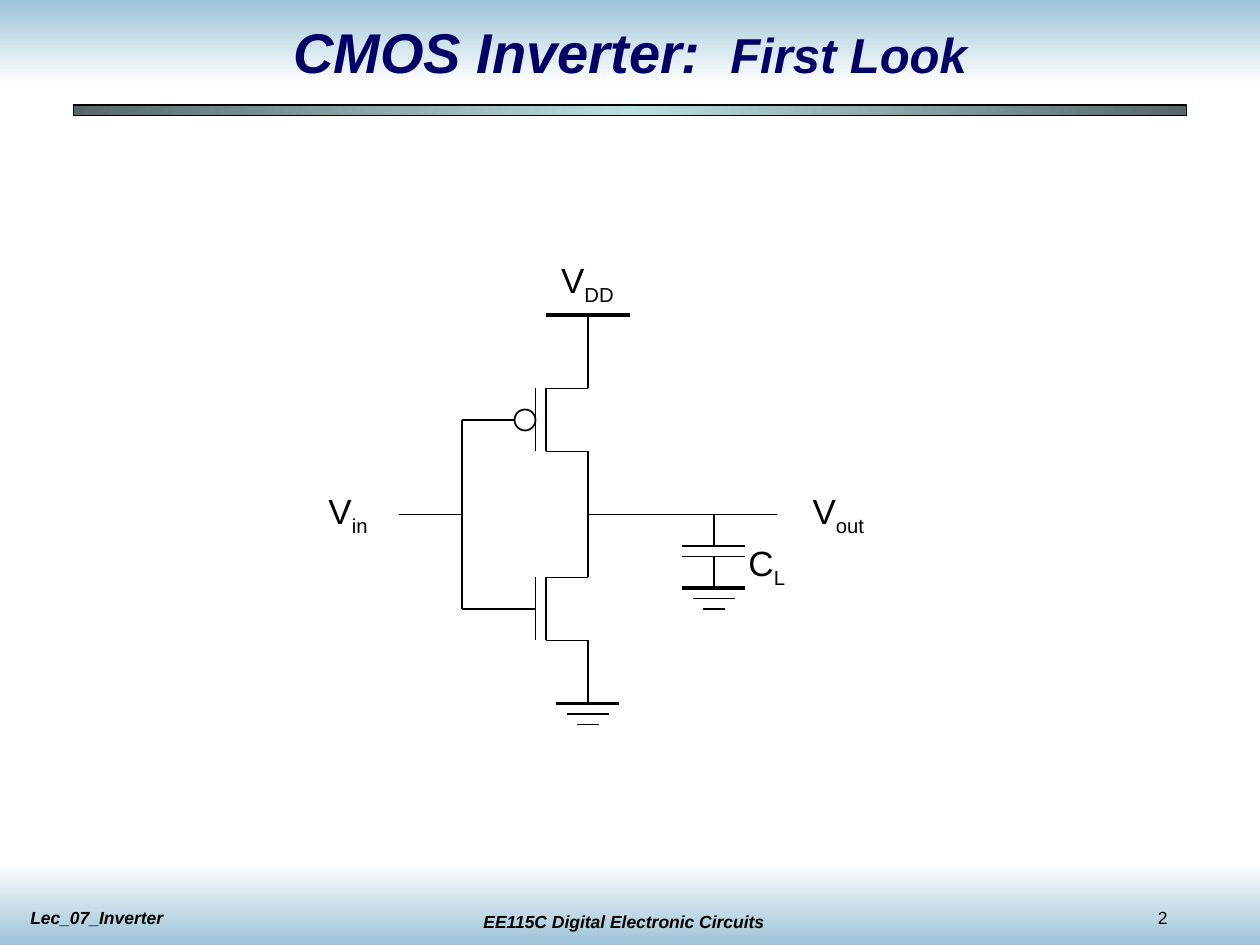
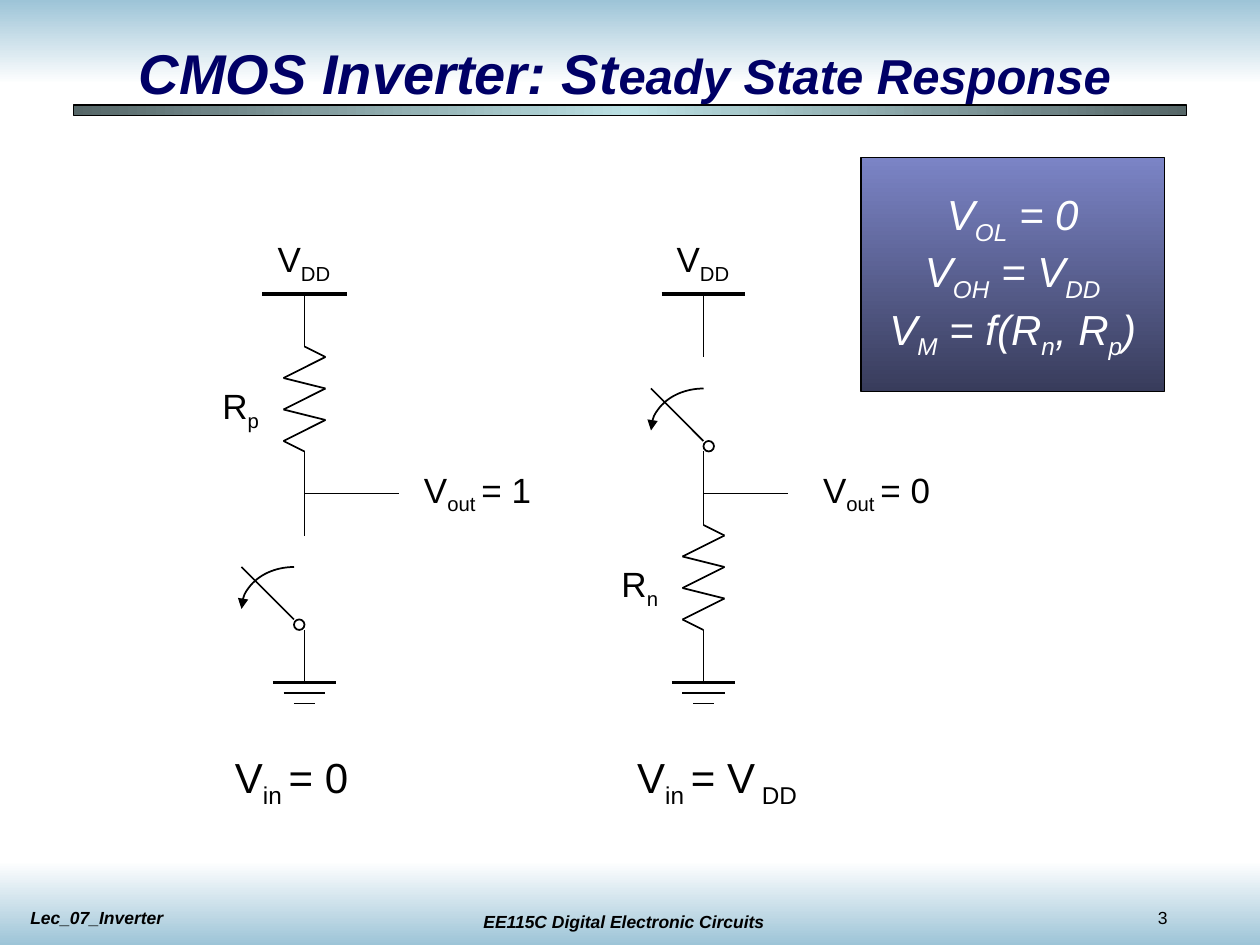
import copy

import lxml.etree
import pptx
import pptx.dml.color
import pptx.enum.shapes
import pptx.enum.text
import pptx.oxml.ns
import pptx.util

COLORS = {
    "ink": "000000",
    "title": "000066",
    "white": "FFFFFF",
    "band": "9DC4D7",
    "bar_edge": "566768",
    "bar_middle": "BBE0E3",
    "box_top": "7B84C6",
    "box_bottom": "383C5B",
}
COLS, ROWS = 120, 90
DOWN, ACROSS = 270, 0
THIN, THICK = 1, 2.25
SHAPES = pptx.enum.shapes.MSO_SHAPE
ALIGN = pptx.enum.text.PP_ALIGN
ANCHOR = pptx.enum.text.MSO_ANCHOR
AUTO_SIZE = pptx.enum.text.MSO_AUTO_SIZE
qn = pptx.oxml.ns.qn


def rgb(name):
    return pptx.dml.color.RGBColor.from_string(COLORS[name])


class Deck:
    font = "Arial"

    def __init__(self):
        self.prs = pptx.Presentation()
        self.prs.slide_width = pptx.util.Inches(10)
        self.prs.slide_height = pptx.util.Inches(7.5)
        self.s = None

    def x(self, cols):
        return round(self.prs.slide_width * cols / COLS)

    def y(self, rows):
        return round(self.prs.slide_height * rows / ROWS)

    def place(self, left, top, width, height):
        return self.x(left), self.y(top), self.x(width), self.y(height)

    def style(self, p, size=None, color="ink", bold=False, italic=False):
        p.font.name = self.font
        p.font.bold = bold
        p.font.italic = italic
        p.font.color.rgb = rgb(color)
        if size:
            p.font.size = pptx.util.Pt(size)

    def slide(self, number, title_box, large, small):
        self.s = self.prs.slides.add_slide(self.prs.slide_layouts[5])
        self.gradient(0, 0, COLS, 8, ["band", "white"])
        self.gradient(0, 82, COLS, 8, ["white", "band"])
        self.footer(42.4, 86.2, 34, "EE115C Digital Electronic Circuits", ALIGN.CENTER)
        self.footer(109.1, 85.8, 10, str(number), emphasis=False)
        self.footer(1.7, 85.8, 34, "Lec_07_Inverter")
        self.gradient(7, 10, 106, 1, ["bar_edge", "bar_middle", "bar_edge"], ACROSS, 0.75)
        self.title(title_box, large, small)

    def title(self, box, large, small):
        sp = self.s.shapes.title
        self.s.shapes._spTree.append(sp._element)
        sp.left, sp.top, sp.width, sp.height = self.place(*box)
        tf = sp.text_frame
        tf.auto_size = AUTO_SIZE.NONE
        tf.vertical_anchor = ANCHOR.MIDDLE
        p = tf.paragraphs[0]
        p.alignment = ALIGN.CENTER
        self.style(p, color="title", bold=True, italic=True)
        for text, size in ((large, 32), (small, 28)):
            r = p.add_run()
            r.text = text
            r.font.size = pptx.util.Pt(size)

    def footer(self, left, top, width, text, align=ALIGN.LEFT, emphasis=True):
        sp = self.s.shapes.add_textbox(*self.place(left, top, width, 3.2))
        sp.text_frame.word_wrap = True
        p = sp.text_frame.paragraphs[0]
        p.text = text
        p.alignment = align
        self.style(p, 10, bold=emphasis, italic=emphasis)

    def shape(self, kind, left, top, width, height, line=THIN):
        sp = self.s.shapes.add_shape(kind, *self.place(left, top, width, height))
        sp.shadow.inherit = False
        sp.fill.background()
        if line:
            sp.line.color.rgb = rgb("ink")
            sp.line.width = pptx.util.Pt(line)
        else:
            sp.line.fill.background()
        return sp

    def gradient(self, left, top, width, height, names, angle=DOWN, line=None):
        sp = self.shape(SHAPES.RECTANGLE, left, top, width, height, line)
        sp.fill.gradient()
        sp.fill.gradient_angle = angle
        stops = next(sp._element.iter(qn("a:gsLst")))
        while len(stops) < len(names):
            stops.append(copy.deepcopy(stops[0]))
        for i, (stop, name) in enumerate(zip(sp.fill.gradient_stops, names)):
            stop.color.rgb = rgb(name)
            stop.position = i / (len(names) - 1)
        return sp

    def line(self, x1, y1, x2, y2, width=THIN):
        c = self.s.shapes.add_connector(
            pptx.enum.shapes.MSO_CONNECTOR.STRAIGHT,
            self.x(x1), self.y(y1), self.x(x2), self.y(y2))
        c.line.color.rgb = rgb("ink")
        c.line.width = pptx.util.Pt(width)
        lxml.etree.SubElement(c._element.spPr, qn("a:effectLst"))

    def wire(self, *points, width=THIN):
        for start, end in zip(points, points[1:]):
            self.line(*start, *end, width)

    def subscripted(self, p, parts):
        for i, text in enumerate(parts):
            r = p.add_run()
            r.text = text
            if i % 2:
                r._r.get_or_add_rPr().set("baseline", "-25000")

    def label(self, left, top, width, *parts, size=20):
        sp = self.s.shapes.add_textbox(*self.place(left, top, width, size * 0.28))
        tf = sp.text_frame
        tf.word_wrap = False
        tf.auto_size = AUTO_SIZE.SHAPE_TO_FIT_TEXT
        p = tf.paragraphs[0]
        self.subscripted(p, parts)
        self.style(p, size)

    def equations(self, left, top, width, height, rows):
        sp = self.gradient(left, top, width, height, ["box_top", "box_bottom"], line=THIN)
        tf = sp.text_frame
        tf.word_wrap = False
        tf.vertical_anchor = ANCHOR.MIDDLE
        for i, parts in enumerate(rows):
            p = tf.add_paragraph() if i else tf.paragraphs[0]
            p.alignment = ALIGN.CENTER
            self.subscripted(p, parts)
            self.style(p, 24, "white", italic=True)

    def supply(self, x, y, end):
        self.label(x - 3.75, y - 6, 7.44, "V", "DD")
        self.line(x - 4, y, x + 4, y, THICK)
        self.line(x, y, x, end)

    def ground(self, x, y):
        for i, half in enumerate((3, 2, 1)):
            self.line(x - half, y + i, x + half, y + i, THIN if i else THICK)

    def transistor(self, x, y):
        self.wire((x, y), (x - 4, y), (x - 4, y + 6), (x, y + 6))
        self.line(x - 5, y, x - 5, y + 6)

    def capacitor(self, x, y):
        self.line(x, y, x, y + 3)
        for plate in (y + 3, y + 4):
            self.line(x - 3, plate, x + 3, plate)
        self.line(x, y + 4, x, y + 7)
        self.ground(x, y + 7)
        self.label(x + 2.1, y + 2, 5.9, "C", "L")

    def resistor(self, x, y):
        zigzag = [(0, 0), (2, 1), (-2, 3), (2, 4), (-2, 6), (2, 7), (-2, 9), (0, 10)]
        self.wire(*((x + dx, y + dy) for dx, dy in zigzag))

    def switch(self, x, y):
        self.line(x - 5, y, x, y + 5)
        self.shape(SHAPES.OVAL, x, y + 5, 1, 1)
        sp = self.shape(SHAPES.ARC, x - 5, y, 10, 8)
        sp.adjustments[0], sp.adjustments[1] = 108, 162
        lxml.etree.SubElement(sp.line._get_or_add_ln(), qn("a:headEnd"), type="triangle")

    def output(self, x, end, value):
        self.line(x, 47, end, 47)
        self.label(x + 10.2, 44, 12.6, "V", "out ", value)


def inverter(d):
    d.slide(2, (9, 1, 102, 7.7), "CMOS Inverter: ", " First Look")
    x, mid, gate = 56, 49, 44
    d.supply(x, 30, 37)
    for top in (37, 55):
        d.transistor(x, top)
    d.line(x, 43, x, 55)
    d.line(x, 61, x, 67)
    d.ground(x, 67)
    d.wire((49, 40), (gate, 40), (gate, 58), (51, 58))
    d.shape(SHAPES.OVAL, 49, 39, 2, 2)
    d.line(38, mid, gate, mid)
    d.line(x, mid, 74, mid)
    d.capacitor(68, mid)
    d.label(30.1, mid - 3, 6.1, "V", "in")
    d.label(76.2, mid - 3, 7.3, "V", "out")


def steady_state(d):
    d.slide(3, (3, 2, 113, 9.75), "CMOS Inverter: St", "eady State Response")
    x = 29
    d.supply(x, 28, 33)
    d.resistor(x, 33)
    d.label(x - 9, 36, 5.9, "R", "p")
    d.line(x, 43, x, 51)
    d.output(x, 38, "= 1")
    d.switch(x - 1, 54)
    d.line(x, 60, x, 65)
    d.ground(x, 65)
    d.label(21.2, 71, 13.2, "V", "in ", "= 0", size=24)

    x = 67
    d.supply(x, 28, 34)
    d.switch(x, 37)
    d.line(x, 43, x, 50)
    d.output(x, 75, "= 0")
    d.resistor(x, 50)
    d.label(x - 9, 53, 5.9, "R", "n")
    d.line(x, 60, x, 65)
    d.ground(x, 65)
    d.label(59.5, 71, 17.6, "V", "in ", "= V", " DD", size=24)

    d.equations(82, 15, 28.9, 22.3, [
        ("V", "OL", " = 0"),
        ("V", "OH", " = V", "DD"),
        ("V", "M", " = f(R", "n", ", R", "p", ")"),
    ])


def main():
    d = Deck()
    inverter(d)
    steady_state(d)
    d.prs.save("out.pptx")


if __name__ == "__main__":
    main()
